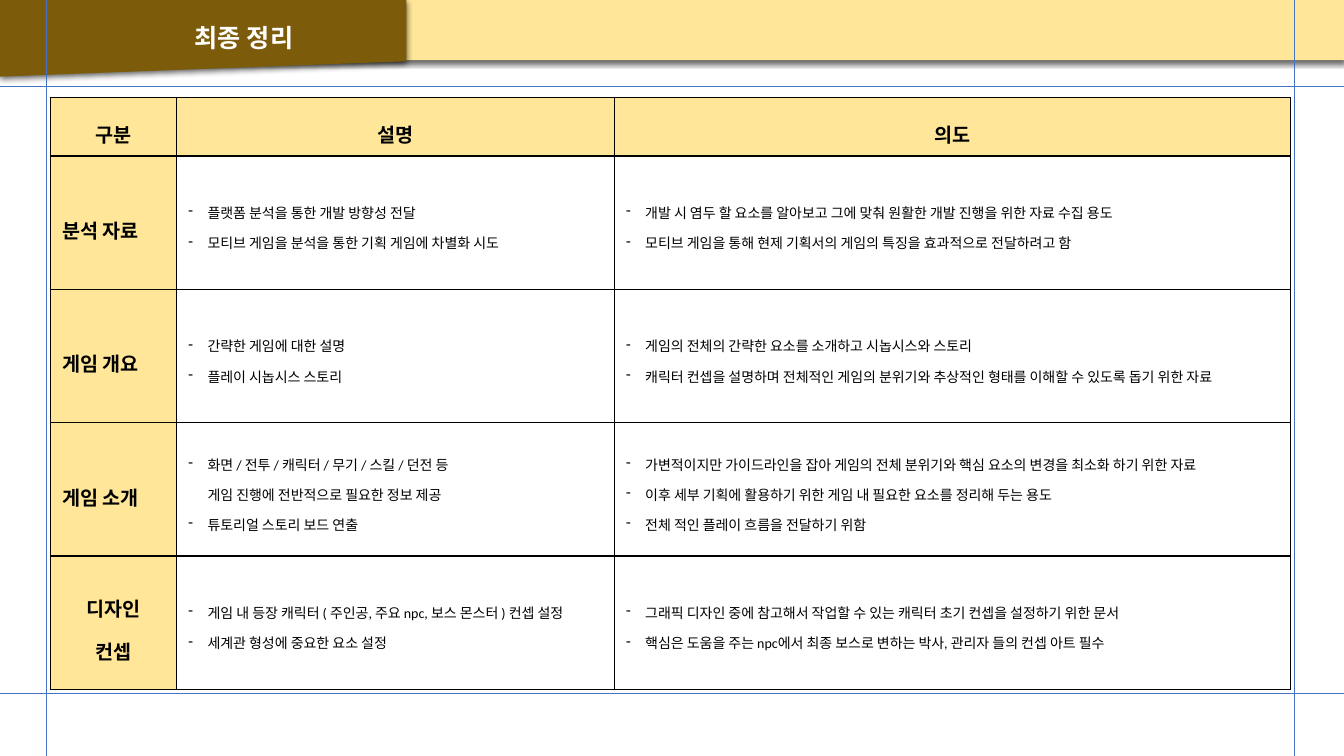
from copy import deepcopy

from lxml import etree
from pptx import Presentation
from pptx import util as u
from pptx.dml.color import RGBColor
from pptx.enum import shapes, text
from pptx.oxml import parse_xml
from pptx.oxml.ns import nsdecls, qn

BROWN, CREAM, WHITE, BLACK, BLUE = "7C5B0A", "FFE699", "FFFFFF", "000000", "4472C4"
CENTER, LEFT = text.PP_ALIGN.CENTER, text.PP_ALIGN.LEFT
HEADING = {"size": u.Pt(14), "bold": True, "name": "Calibri"}
BODY = {"size": u.Pt(10), "bold": False, "name": "Calibri"}


def rgb(color):
    return RGBColor.from_string(color)


def write_paragraph(paragraph, words, font, color=BLACK, alignment=CENTER):
    """Fill a paragraph and give its runs and line breaks the same format."""
    paragraph.text = words
    paragraph.alignment = alignment
    paragraph.line_spacing = 1.5
    for run in paragraph.runs:
        for name, value in font.items():
            setattr(run.font, name, value)
        run.font.color.rgb = rgb(color)
    for line_break in paragraph._p.findall(qn("a:br")):
        line_break.append(deepcopy(paragraph.runs[0].font._element))


presentation = Presentation()
presentation.slide_width, presentation.slide_height = u.Cm(33.87), u.Cm(19.05)
slide = presentation.slides.add_slide(presentation.slide_layouts[5])

# Header band and title tab
BANDS = [
    (shapes.MSO_SHAPE.RECTANGLE, 33.87, 1.52, 0, CREAM),
    (shapes.MSO_SHAPE.FLOWCHART_MANUAL_INPUT, 10.24, 1.93, 180, BROWN),
]
for preset, width, height, rotation, color in BANDS:
    band = slide.shapes.add_shape(preset, 0, 0, u.Cm(width), u.Cm(height))
    band.rotation = rotation
    band.fill.solid()
    band.fill.fore_color.rgb = rgb(color)
    band.line.fill.background()
    band.shadow.inherit = False
    band.element.spPr.find(qn("a:effectLst")).append(parse_xml(
        f'<a:outerShdw {nsdecls("a")} blurRad="57150" dist="19050" dir="5400000" '
        'algn="ctr" rotWithShape="0"><a:srgbClr val="000000"><a:alpha val="63000"/>'
        '</a:srgbClr></a:outerShdw>'))

# Margin lines
MARGINS = [(x, -2.95, x, 20.55) for x in (1.17, 32.61)]
MARGINS += [(34.21, y, -0.69, y) for y in (2.18, 17.48)]
for ends in MARGINS:
    margin = slide.shapes.add_connector(
        shapes.MSO_CONNECTOR.STRAIGHT, *[u.Cm(end) for end in ends])
    margin.line.color.rgb = rgb(BLUE)
    margin.line.width = u.Pt(0.5)
    etree.SubElement(margin.element.spPr, qn("a:effectLst"))

# Title, brought in front of its tab
title = slide.shapes.title
title.left, title.top, title.width, title.height = map(u.Cm, (2.34, 0.1, 7.62, 1.32))
title.text_frame.auto_size = text.MSO_AUTO_SIZE.NONE
title.text_frame.vertical_anchor = text.MSO_ANCHOR.MIDDLE
write_paragraph(title.text_frame.paragraphs[0], "최종 정리",
                {**HEADING, "size": u.Pt(18)}, WHITE)
title.element.getparent().append(title.element)

# Summary table: heading, description items, intention items
HEADERS = ["구분", "설명", "의도"]
TOPICS = [
    ("분석 자료",
     ["플랫폼 분석을 통한 개발 방향성 전달",
      "모티브 게임을 분석을 통한 기획 게임에 차별화 시도"],
     ["개발 시 염두 할 요소를 알아보고 그에 맞춰 원활한 개발 진행을 위한 자료 수집 용도",
      "모티브 게임을 통해 현제 기획서의 게임의 특징을 효과적으로 전달하려고 함"]),
    ("게임 개요",
     ["간략한 게임에 대한 설명",
      "플레이 시놉시스 스토리"],
     ["게임의 전체의 간략한 요소를 소개하고 시놉시스와 스토리",
      "캐릭터 컨셉을 설명하며 전체적인 게임의 분위기와 추상적인 형태를 이해할 수 있도록 돕기 위한 자료"]),
    ("게임 소개",
     ["화면 / 전투 / 캐릭터 / 무기 / 스킬 / 던전 등\n게임 진행에 전반적으로 필요한 정보 제공",
      "튜토리얼 스토리 보드 연출"],
     ["가변적이지만 가이드라인을 잡아 게임의 전체 분위기와 핵심 요소의 변경을 최소화 하기 위한 자료",
      "이후 세부 기획에 활용하기 위한 게임 내 필요한 요소를 정리해 두는 용도",
      "전체 적인 플레이 흐름을 전달하기 위함"]),
    ("디자인\n컨셉",
     ["게임 내 등장 캐릭터 ( 주인공, 주요 npc, 보스 몬스터 ) 컨셉 설정",
      "세계관 형성에 중요한 요소 설정"],
     ["그래픽 디자인 중에 참고해서 작업할 수 있는 캐릭터 초기 컨셉을 설정하기 위한 문서",
      "핵심은 도움을 주는 npc에서 최종 보스로 변하는 박사, 관리자 들의 컨셉 아트 필수"]),
]
COLUMN_WIDTHS = [3.18, 11.03, 17.04]
ROW_HEIGHTS = [1.47] + [3.36] * len(TOPICS)
CELL_FORMAT = {
    "margin_left": u.Cm(0.3), "margin_right": u.Cm(0.3),
    "margin_top": u.Cm(0.15), "margin_bottom": u.Cm(0.15),
    "vertical_anchor": text.MSO_ANCHOR.MIDDLE,
}
table = slide.shapes.add_table(
    len(ROW_HEIGHTS), len(COLUMN_WIDTHS), u.Cm(1.27), u.Cm(2.46),
    u.Cm(sum(COLUMN_WIDTHS)), u.Cm(sum(ROW_HEIGHTS))).table
for column, width in zip(table.columns, COLUMN_WIDTHS):
    column.width = u.Cm(width)
for row, height in zip(table.rows, ROW_HEIGHTS):
    row.height = u.Cm(height)

for row_index, entries in enumerate([HEADERS, *TOPICS]):
    for column_index, entry in enumerate(entries):
        cell = table.cell(row_index, column_index)
        is_list = isinstance(entry, list)
        for name, value in CELL_FORMAT.items():
            setattr(cell, name, value)
        for side in ("lnL", "lnR", "lnT", "lnB"):
            cell._tc.get_or_add_tcPr().append(parse_xml(
                f'<a:{side} {nsdecls("a")} w="12700"><a:solidFill>'
                f'<a:srgbClr val="{BLACK}"/></a:solidFill></a:{side}>'))
        cell.fill.solid()
        cell.fill.fore_color.rgb = rgb(WHITE if is_list else CREAM)

        if not is_list:
            centered = row_index == 0 or "\n" in entry
            write_paragraph(cell.text_frame.paragraphs[0], entry, HEADING,
                            alignment=CENTER if centered else LEFT)
            continue
        for index, item in enumerate(entry):
            frame = cell.text_frame
            paragraph = frame.add_paragraph() if index else frame.paragraphs[0]
            properties = paragraph._p.get_or_add_pPr()
            properties.set("marL", str(u.Cm(0.48)))
            properties.set("indent", str(-u.Cm(0.48)))
            etree.SubElement(properties, qn("a:buFontTx"))
            etree.SubElement(properties, qn("a:buChar"), char="-")
            write_paragraph(paragraph, item, BODY, alignment=LEFT)

presentation.save("out.pptx")
